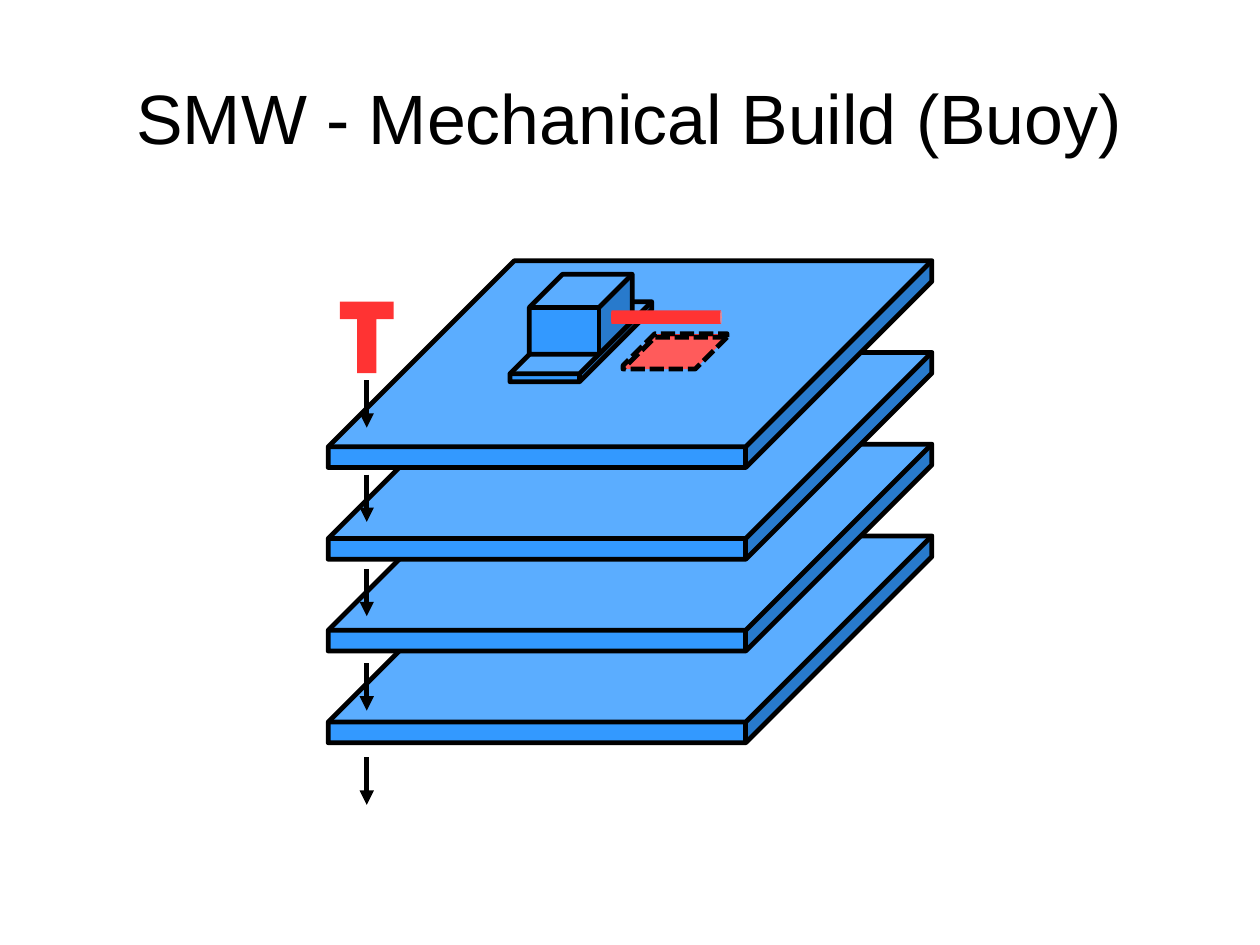
from dataclasses import dataclass

from lxml.etree import SubElement
from pptx import Presentation
from pptx.dml.color import RGBColor
from pptx.enum.dml import MSO_LINE
from pptx.enum.shapes import MSO_CONNECTOR, MSO_SHAPE
from pptx.enum.text import MSO_ANCHOR, PP_ALIGN
from pptx.oxml.ns import qn
from pptx.util import Pt


@dataclass(frozen=True)
class Theme:
    font: str = "Arial"
    title_size: float = 44
    stroke: float = 3
    ink: RGBColor = RGBColor(0x00, 0x00, 0x00)
    blue: RGBColor = RGBColor(0x33, 0x99, 0xFF)
    red: RGBColor = RGBColor(0xFF, 0x33, 0x33)


THEME = Theme()
LAYERS = 4
LAYER_STEP = 57.8
ARROW_STEP = 59.4


def add_title(slide, text):
    title = slide.shapes.add_textbox(Pt(39.6), Pt(23.8), Pt(714.2), Pt(99.4))
    frame = title.text_frame
    frame.word_wrap = True
    frame.vertical_anchor = MSO_ANCHOR.MIDDLE
    frame.margin_left = frame.margin_right = 0
    frame.margin_top = frame.margin_bottom = 0
    heading = frame.paragraphs[0]
    heading.text = text
    heading.alignment = PP_ALIGN.CENTER
    heading.font.name = THEME.font
    heading.font.size = Pt(THEME.title_size)
    heading.font.color.rgb = THEME.ink


def paint(shape, color, outlined):
    shape.shadow.inherit = False
    shape.fill.solid()
    shape.fill.fore_color.rgb = color
    if outlined:
        shape.line.color.rgb = THEME.ink
        shape.line.width = Pt(THEME.stroke)
    else:
        shape.line.fill.background()


def add_solid(slide, kind, box, depth, color, outlined=True):
    """Add a cube or can; depth is its adjustment value."""
    solid = slide.shapes.add_shape(kind, *map(Pt, box))
    solid.adjustments[0] = depth
    paint(solid, color, outlined)
    return solid


def add_down_arrow(slide, x, top, length):
    arrow = slide.shapes.add_connector(
        MSO_CONNECTOR.STRAIGHT, Pt(x), Pt(top), Pt(x), Pt(top + length))
    arrow.line.color.rgb = THEME.ink
    arrow.line.width = Pt(THEME.stroke)
    SubElement(arrow.line._get_or_add_ln(), qn("a:tailEnd"), type="triangle")
    SubElement(arrow._element.spPr, qn("a:effectLst"))


def add_bolt(slide, left, top, width, height, bar):
    """Add a T-shaped bolt whose head and shank are both one bar thick."""
    shank_left = left + (width - bar) / 2
    shank_right = shank_left + bar
    right, bottom, neck = left + width, top + height, top + bar
    outline = slide.shapes.build_freeform(left, top, scale=Pt(1))
    outline.add_line_segments([
        (right, top), (right, neck), (shank_right, neck),
        (shank_right, bottom), (shank_left, bottom), (shank_left, neck),
        (left, neck)])
    paint(outline.convert_to_shape(), THEME.red, outlined=False)


def main():
    deck = Presentation()
    deck.slide_width, deck.slide_height = Pt(793.6), Pt(595.3)
    slide = deck.slides.add_slide(deck.slide_layouts[6])
    add_title(slide, "SMW - Mechanical Build (Buoy)")

    for layer in reversed(range(LAYERS)):
        add_solid(slide, MSO_SHAPE.CUBE,
                  (206.7, 164.2 + layer * LAYER_STEP, 380.2, 130.3),
                  0.9, THEME.blue)
    for gap in range(LAYERS + 1):
        add_down_arrow(slide, 231, 239.6 + gap * ARROW_STEP, 29.8)
    add_bolt(slide, 214, 190, 34, 45.3, bar=11.4)

    motor_parts = [((321.2, 190.1, 89.3, 50.4), 0.9),
                   ((333.4, 172.8, 64.8, 50.4), 0.416)]
    for box, depth in motor_parts:
        add_solid(slide, MSO_SHAPE.CUBE, box, depth, THEME.blue)

    cutout = add_solid(slide, MSO_SHAPE.CUBE, (392.4, 210.2, 65.5, 22.3),
                       0.9, THEME.red)
    cutout.rotation = 180
    cutout.line.dash_style = MSO_LINE.SQUARE_DOT

    shaft = add_solid(slide, MSO_SHAPE.CAN, (415.4, 164.9, 8.6, 69.8),
                      0.107, THEME.red, outlined=False)
    shaft.rotation = 90

    deck.save("out.pptx")


if __name__ == "__main__":
    main()
